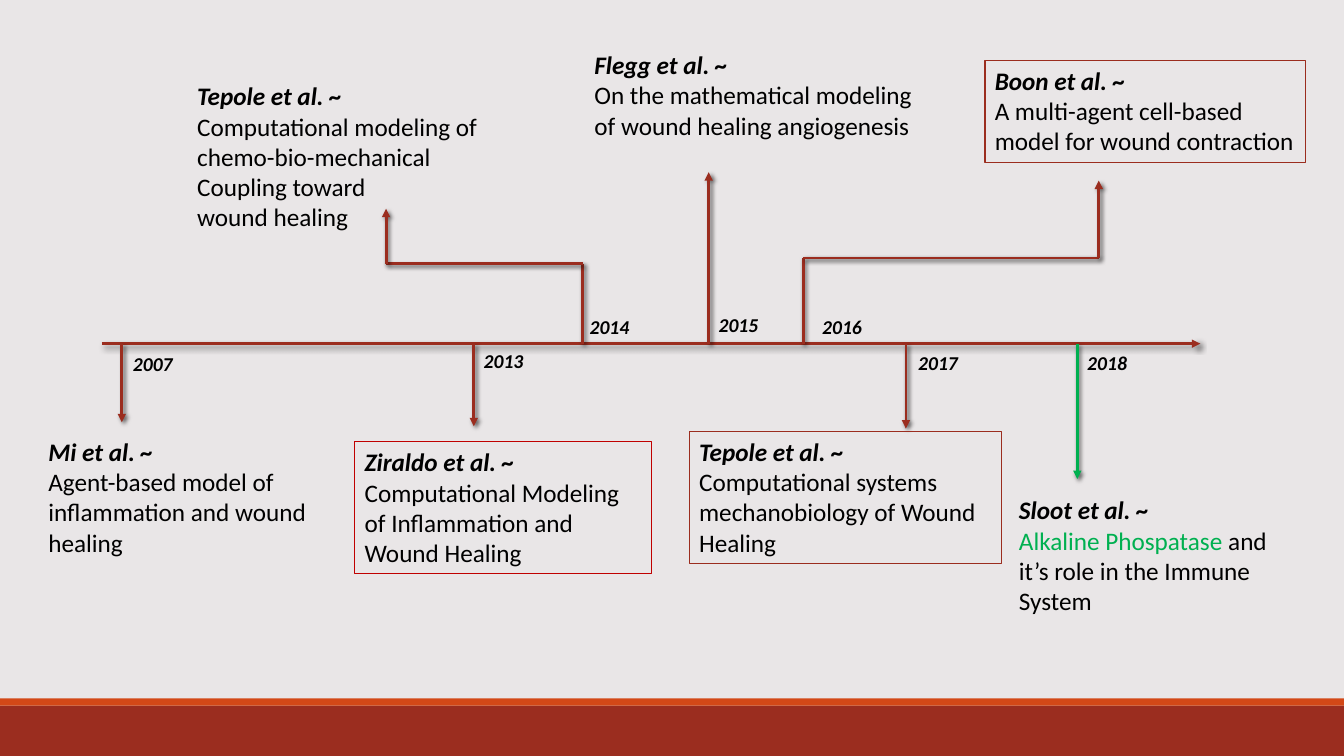
from itertools import pairwise

from lxml import etree
from pptx import Presentation
from pptx import util as u
from pptx.dml.color import RGBColor
from pptx.enum import shapes, text
from pptx.oxml import ns, parse_xml

COLORS = {"background": "E9E6E7", "rust": "9B2D1F", "orange": "D34817",
          "green": "00B050", "red": "C00000", "black": "000000"}
HEADING = {"name": "Calibri", "size": u.Pt(18), "bold": True, "italic": True}
BODY = {"name": "Calibri", "size": u.Pt(18), "bold": False, "italic": False}
YEAR = {"name": "Calibri", "size": u.Pt(14), "bold": True, "italic": True}
FRAME = {"word_wrap": True, "vertical_anchor": text.MSO_ANCHOR.TOP}
SHADOW = (f'<a:effectLst {ns.nsdecls("a")}><a:outerShdw blurRad="38100" dist="25400" '
          'dir="2700000" rotWithShape="0"><a:srgbClr val="000000">'
          '<a:alpha val="60000"/></a:srgbClr></a:outerShdw></a:effectLst>')

EVENTS = [
    {"year": "2007", "year_at": (0.53, 0.08), "route": [(0.5, 0), (0.5, 1.98)],
     "card": (-1.6, 2.21, 7.11, 3.33), "author": "Mi et al. ~",
     "lines": [[("Agent-based model of inflammation and wound healing", "black")]]},
    {"year": "2013", "year_at": (9.37, 0), "route": [(9.37, 0), (9.37, 2.08)],
     "card": (6.37, 2.47, 7.47, 3.33), "author": "Ziraldo et al. ~", "border": ("red", 0.75),
     "lines": [[("Computational Modeling of Inflammation and Wound Healing", "black")]]},
    {"year": "2014", "year_at": (12.04, -0.86),
     "route": [(12.11, 0), (12.11, -2.01), (7.16, -2.01), (7.16, -3.4)],
     "card": (2.15, -6.75, 9.3, 4.11), "author": "Tepole et al. ~",
     "lines": [[("Computational modeling of chemo-bio-mechanical", "black")],
               [("Coupling toward", "black")], [("wound healing", "black")]]},
    {"year": "2015", "year_at": (15.29, -0.91), "route": [(15.29, 0), (15.29, -4.32)],
     "card": (12.16, -7.54, 8.53, 2.57), "author": "Flegg et al. ~",
     "lines": [[("On the mathematical modeling of wound healing angiogenesis", "black")]]},
    {"year": "2016", "year_at": (17.9, -0.86),
     "route": [(17.67, 0), (17.67, -2.16), (25.12, -2.16), (25.12, -4.11)],
     "card": (22.25, -7.14, 8.08, 2.57), "author": "Boon et al. ~", "border": ("rust", 1),
     "lines": [[("A multi-agent cell-based model for wound contraction", "black")]]},
    {"year": "2017", "year_at": (20.32, 0.05), "route": [(20.26, 0), (20.26, 2.14)],
     "card": (14.8, 2.21, 7.87, 3.33), "author": "Tepole et al. ~", "border": ("rust", 0.75),
     "lines": [[("Computational systems mechanobiology of Wound Healing", "black")]]},
    {"year": "2018", "year_at": (24.58, 0.05), "route": [(24.58, 0), (24.58, 3.41)],
     "color": "green", "card": (22.86, 3.68, 7.49, 3.33), "author": "Sloot et al. ~",
     "lines": [[("Alkaline Phospatase ", "green"),
                ("and it’s role in the Immune System", "black")]]},
]


def rgb(color):
    return RGBColor.from_string(COLORS[color])


def apply(target, values):
    for name, value in values.items():
        setattr(target, name, value)


def add_route(slide, origin, points, color):
    left, top = origin
    segments = list(pairwise(points))
    for index, ((x1, y1), (x2, y2)) in enumerate(segments):
        connector = slide.shapes.add_connector(
            shapes.MSO_CONNECTOR.STRAIGHT,
            *(u.Cm(value) for value in (left + x1, top + y1, left + x2, top + y2)))
        connector.line.color.rgb = rgb(color)
        connector.line.width = u.Pt(2)
        if index == len(segments) - 1:
            outline = connector.line._get_or_add_ln()
            etree.SubElement(outline, ns.qn("a:tailEnd"), type="triangle")
        connector._element.spPr.append(parse_xml(SHADOW))


def add_text(slide, box, paragraphs):
    shape = slide.shapes.add_textbox(*(u.Cm(value) for value in box))
    frame = shape.text_frame
    apply(frame, FRAME)
    for index, runs in enumerate(paragraphs):
        paragraph = frame.add_paragraph() if index else frame.paragraphs[0]
        for words, color, font in runs:
            run = paragraph.add_run()
            run.text = words
            apply(run.font, font)
            run.font.color.rgb = rgb(color)
    return shape


def add_event(slide, origin, event):
    left, top = origin
    x, y, width, height = event["card"]
    add_route(slide, origin, event["route"], event.get("color", "rust"))
    year_x, year_y = event["year_at"]
    add_text(slide, (left + year_x, top + year_y, 2.08, 0.86),
             [[(event["year"], "black", YEAR)]])
    body = [[(words, color, BODY) for words, color in line] for line in event["lines"]]
    card = add_text(slide, (left + x, top + y, width, height),
                    [[(event["author"], "black", HEADING)], *body])
    if "border" in event:
        color, points = event["border"]
        card.line.color.rgb = rgb(color)
        card.line.width = u.Pt(points)


def add_timeline(slide, box):
    left, top, width = box
    add_route(slide, (left, top), [(0, 0), (width, 0)], "rust")
    for event in EVENTS:
        add_event(slide, (left, top), event)


def add_footer(slide, box):
    left, top, width, height = box
    stripe = 0.18
    for color, y, depth in (("rust", top + stripe, height - stripe), ("orange", top, stripe)):
        bar = slide.shapes.add_shape(
            shapes.MSO_SHAPE.RECTANGLE, *(u.Cm(value) for value in (left, y, width, depth)))
        bar.shadow.inherit = False
        bar.fill.solid()
        bar.fill.fore_color.rgb = rgb(color)
        bar.line.fill.background()


presentation = Presentation()
apply(presentation, {"slide_width": u.Cm(33.87), "slide_height": u.Cm(19.05)})
slide = presentation.slides.add_slide(presentation.slide_layouts[6])
slide.background.fill.solid()
slide.background.fill.fore_color.rgb = rgb("background")
add_footer(slide, (0, 17.6, 33.87, 1.45))
add_timeline(slide, (2.57, 8.66, 27.68))
presentation.save("out.pptx")
